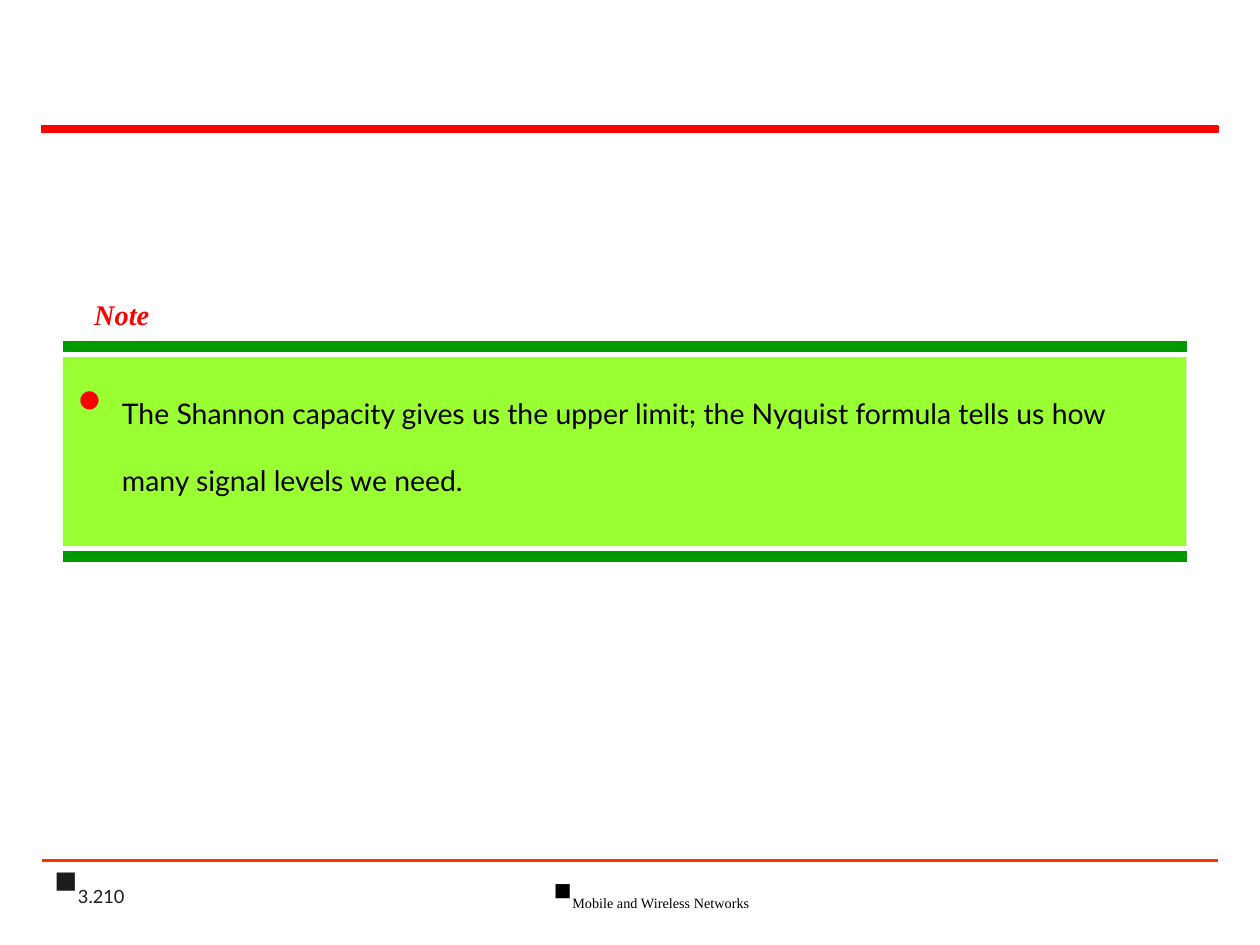
from lxml import etree
from pptx import Presentation
from pptx.dml.color import RGBColor
from pptx.enum.shapes import MSO_CONNECTOR as Connector, MSO_SHAPE as Shape
from pptx.enum.text import MSO_ANCHOR as Anchor, PP_ALIGN as Align
from pptx.oxml.ns import qn
from pptx.util import Cm, Pt

COLORS = {
    "red": "FF0000",
    "orange": "FF3300",
    "green": "009900",
    "lime": "99FF33",
    "black": "000000",
    "charcoal": "1C1C1C",
}
SANS, SERIF = "Lato", "Times New Roman"


class SlideBuilder:
    def __init__(self, slide):
        self.slide = slide

    def color(self, name):
        return RGBColor.from_string(COLORS[name])

    def rectangle(self, left, top, width, height, fill, line=None):
        shape = self.slide.shapes.add_shape(
            Shape.RECTANGLE, Cm(left), Cm(top), Cm(width), Cm(height))
        shape.shadow.inherit = False
        shape.fill.solid()
        shape.fill.fore_color.rgb = self.color(fill)
        if line:
            shape.line.color.rgb = self.color(line)
            shape.line.width = Pt(1)
        else:
            shape.line.fill.background()
        return shape

    def rule(self, left, right, y, color, weight):
        connector = self.slide.shapes.add_connector(
            Connector.STRAIGHT, Cm(left), Cm(y), Cm(right), Cm(y))
        connector.line.color.rgb = self.color(color)
        connector.line.width = Pt(weight)
        etree.SubElement(connector._element.spPr, qn("a:effectLst"))

    def text_box(self, left, top, width, height):
        return self.slide.shapes.add_textbox(
            Cm(left), Cm(top), Cm(width), Cm(height))

    def bullet(self, paragraph, mark, font, color, indent=0):
        properties = paragraph._p.get_or_add_pPr()
        properties.set("marL", str(Cm(indent)))
        properties.set("indent", str(-Cm(indent)))
        bullet_color = etree.SubElement(properties, qn("a:buClr"))
        etree.SubElement(bullet_color, qn("a:srgbClr"), val=COLORS[color])
        etree.SubElement(properties, qn("a:buFont"), typeface=font)
        etree.SubElement(properties, qn("a:buChar"), char=mark)

    def add_text(self, shape, text, size, font, color, align=Align.LEFT,
                 anchor=Anchor.TOP, wrap=True, emphasis=False, bullet=None):
        """Fill the shape with one lowered (subscript) run."""
        frame = shape.text_frame
        frame.word_wrap = wrap
        frame.vertical_anchor = anchor
        paragraph = frame.paragraphs[0]
        paragraph.alignment = align
        if bullet:
            self.bullet(paragraph, *bullet)
        run = paragraph.add_run()
        run.text = text
        run.font.size = Pt(size)
        run.font.name = font
        run.font.bold = run.font.italic = emphasis
        run.font.color.rgb = self.color(color)
        run._r.get_or_add_rPr().set("baseline", "-25000")


def main():
    presentation = Presentation()
    presentation.slide_width, presentation.slide_height = Cm(25.4), Cm(19.05)
    slide = presentation.slides.add_slide(presentation.slide_layouts[6])
    builder = SlideBuilder(slide)

    margin, content_width = 0.84, 23.72
    builder.rectangle(margin, 2.54, content_width, 0.13, "red", line="red")
    builder.rule(margin, margin + content_width, 17.35, "orange", 1.5)

    page_number = builder.text_box(margin, 17.58, 5.28, 0.84)
    builder.add_text(page_number, "3.210", 18, SANS, "charcoal",
                     anchor=Anchor.BOTTOM,
                     bullet=("n", "Wingdings", "charcoal"))
    footer = builder.text_box(8.69, 17.58, 8.89, 0.86)
    builder.add_text(footer, "Mobile and Wireless Networks", 14, SERIF,
                     "black", align=Align.CENTER,
                     bullet=("n", "Wingdings", "black"))

    note_left, note_width = 1.27, 22.65
    for y in (6.99, 11.22):
        builder.rule(note_left, note_left + note_width, y, "green", 6)
    note = builder.rectangle(note_left, 7.2, note_width, 3.81, "lime")
    builder.add_text(
        note,
        "The Shannon capacity gives us the upper limit; "
        "the Nyquist formula tells us how many signal levels we need.",
        28, SANS, "black", bullet=("•", SANS, "red", 0.94))

    heading = builder.text_box(1.65, 5.21, 2.44, 1.45)
    builder.add_text(heading, "Note", 28, SERIF, "red",
                     wrap=False, emphasis=True)

    presentation.save("out.pptx")


if __name__ == "__main__":
    main()
